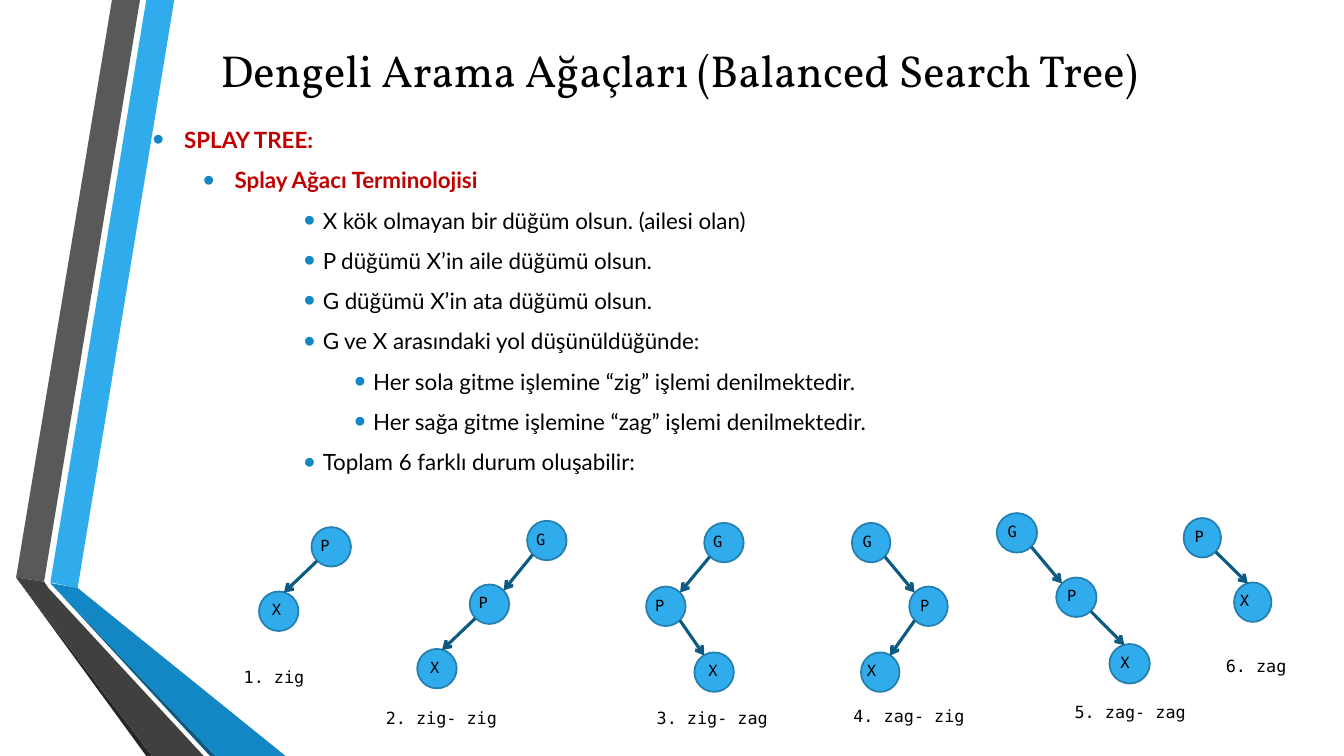
"""Build the splay tree terminology slide with its six zig and zag cases."""
from lxml import etree
from pptx import Presentation
from pptx.dml.color import RGBColor
from pptx.enum.shapes import MSO_CONNECTOR, MSO_SHAPE
from pptx.enum.text import MSO_ANCHOR, PP_ALIGN
from pptx.oxml.ns import qn
from pptx.util import Pt

STRAIGHT = MSO_CONNECTOR.STRAIGHT
OVAL = MSO_SHAPE.OVAL
TOP, MIDDLE = MSO_ANCHOR.TOP, MSO_ANCHOR.MIDDLE
LEFT, CENTER, JUSTIFY = PP_ALIGN.LEFT, PP_ALIGN.CENTER, PP_ALIGN.JUSTIFY

COLORS = {
    "black": "000000", "red": "C00000", "sky": "30ACEC", "outline": "247FAF",
    "blue": "1287C3", "navy": "0C5A82", "gray": "595959",
    "charcoal": "404040", "dark": "262626",
}


def color(name):
    return RGBColor.from_string(COLORS[name])


def add_text(page, left, top, width, height, text, font, size, align=LEFT, anchor=TOP):
    box = page.shapes.add_textbox(Pt(left), Pt(top), Pt(width), Pt(height))
    frame = box.text_frame
    frame.word_wrap = True
    frame.vertical_anchor = anchor
    frame.text = text
    for para in frame.paragraphs:
        para.alignment = align
        for span in para.runs:
            span.font.name = font
            span.font.size = Pt(size)
            span.font.color.rgb = color("black")
    return frame


deck = Presentation()
deck.slide_width, deck.slide_height = Pt(960), Pt(540)
page = deck.slides.add_slide(deck.slide_layouts[6])

RIBBONS = [
    ("sky", [(36, 416), (55.5, 420), (124.5, 0), (104.5, 0)]),
    ("gray", [(100, 0), (80, 0), (11.5, 412.5), (31.5, 415.5)]),
    ("dark", [(11.5, 412.5), (104.5, 540), (108.5, 540)]),
    ("navy", [(36, 416.5), (150, 540), (154, 540)]),
    ("blue", [(36, 416.5), (154, 540), (204, 540), (55.5, 420)]),
    ("charcoal", [(145.5, 540), (34.5, 420), (31.5, 415.5), (11.5, 412.5), (108.5, 540)]),
]
for fill, corners in RIBBONS:
    points = [(Pt(x), Pt(y)) for x, y in corners]
    outline = page.shapes.build_freeform(*points[0])
    outline.add_line_segments(points[1:])
    ribbon = outline.convert_to_shape()
    ribbon.shadow.inherit = False
    ribbon.fill.solid()
    ribbon.fill.fore_color.rgb = color(fill)
    ribbon.line.fill.background()

add_text(page, 111.5, 12, 748, 75, "Dengeli Arama Ağaçları (Balanced Search Tree)",
         "Vollkorn", 32, CENTER, MIDDLE)

OUTLINE = [
    (0, "SPLAY TREE:"),
    (1, "Splay Ağacı Terminolojisi"),
    (3, "X kök olmayan bir düğüm olsun. (ailesi olan)"),
    (3, "P düğümü X’in aile düğümü olsun."),
    (3, "G düğümü X’in ata düğümü olsun."),
    (3, "G ve X arasındaki yol düşünüldüğünde:"),
    (4, "Her sola gitme işlemine “zig” işlemi denilmektedir."),
    (4, "Her sağa gitme işlemine “zag” işlemi denilmektedir."),
    (3, "Toplam 6 farklı durum oluşabilir:"),
]
INDENTS = {0: (22.5, 22.5), 1: (58.5, 22.5), 3: (121.5, 13.5), 4: (157.5, 13.5)}
body = add_text(page, 102, 77, 800, 272, "\n".join(text for _, text in OUTLINE),
                "Lato", 16, JUSTIFY)
for para, (level, _) in zip(body.paragraphs, OUTLINE):
    para.level = level
    para.line_spacing = 1.5
    margin, hanging = INDENTS[level]
    properties = para._p.get_or_add_pPr()
    properties.set("marL", str(Pt(margin)))
    properties.set("indent", str(-Pt(hanging)))
    tint = etree.SubElement(properties, qn("a:buClr"))
    etree.SubElement(tint, qn("a:srgbClr"), val=COLORS["blue"])
    etree.SubElement(properties, qn("a:buSzPct"), val="145000")
    etree.SubElement(properties, qn("a:buFont"), typeface="Arial")
    etree.SubElement(properties, qn("a:buChar"), char="•")
    if level < 2:
        para.runs[0].font.bold = True
        para.runs[0].font.color.rgb = color("red")

MONO = "DejaVu Sans Mono"
NODE_HEIGHT = 28.2
# Each tree: caption, its box, node width, label shift of P and G, of X, nodes from the root.
TREES = [
    ("1. zig", (167, 473, 71), 28.2, -0.7, 2.2,
     [("P", 222.5, 376.5), ("X", 185, 422.5)]),
    ("2. zig- zig", (268.5, 502, 101.5), 28.2, -0.7, 2.2,
     [("G", 376.5, 372), ("P", 335.5, 417.5), ("X", 298, 463.5)]),
    ("3. zig- zag", (462, 502, 101.5), 28.2, -0.7, 2.9,
     [("G", 503, 373.5), ("P", 461.5, 419), ("X", 496, 466)]),
    ("4. zag- zig", (602.5, 500.5, 101.5), 27.5, 0.7, -2.9,
     [("G", 608.5, 373.5), ("P", 649.5, 419), ("X", 615, 466)]),
    ("5. zag- zag", (760.5, 497.5, 101.5), 28.8, 0.7, 0.7,
     [("G", 712, 366.5), ("P", 754.5, 412.5), ("X", 792.5, 460)]),
    ("6. zag", (868.5, 465, 85.5), 26.7, 0.7, -2.9,
     [("P", 845.5, 370), ("X", 881.5, 416)]),
]
for caption, (left, top, width), node_width, parent_shift, leaf_shift, nodes in TREES:
    for letter, x, y in nodes:
        node = page.shapes.add_shape(OVAL, Pt(x), Pt(y), Pt(node_width), Pt(NODE_HEIGHT))
        node.shadow.inherit = False
        node.fill.solid()
        node.fill.fore_color.rgb = color("sky")
        node.line.color.rgb = color("outline")
        node.line.width = Pt(1.25)
        shift = leaf_shift if letter == "X" else parent_shift
        add_text(page, x + shift, y + 2.9, node_width, 21, letter, MONO, 11)

    previous_left = None
    for (_, x, y), (child, child_x, child_y) in zip(nodes, nodes[1:]):
        goes_left = child_x < x
        bent = previous_left is not None and previous_left != goes_left
        if child == "P":
            inset, drop = 0.14, 0.15
        elif bent:
            inset, drop = 0.25, 0.08
        else:
            inset, drop = 0.37, 0.03
        start = 0.14 if goes_left else 0.86
        end = 1 - inset if goes_left else inset
        arrow = page.shapes.add_connector(
            STRAIGHT, Pt(x + start * node_width), Pt(y + 0.86 * NODE_HEIGHT),
            Pt(child_x + end * node_width), Pt(child_y + drop * NODE_HEIGHT))
        arrow.line.color.rgb = color("navy")
        arrow.line.width = Pt(2.25)
        etree.SubElement(arrow.line._get_or_add_ln(), qn("a:tailEnd"), type="arrow")
        etree.SubElement(arrow._element.spPr, qn("a:effectLst"))
        previous_left = goes_left

    add_text(page, left, top, width, 21.5, caption, MONO, 12)

deck.save("out.pptx")
